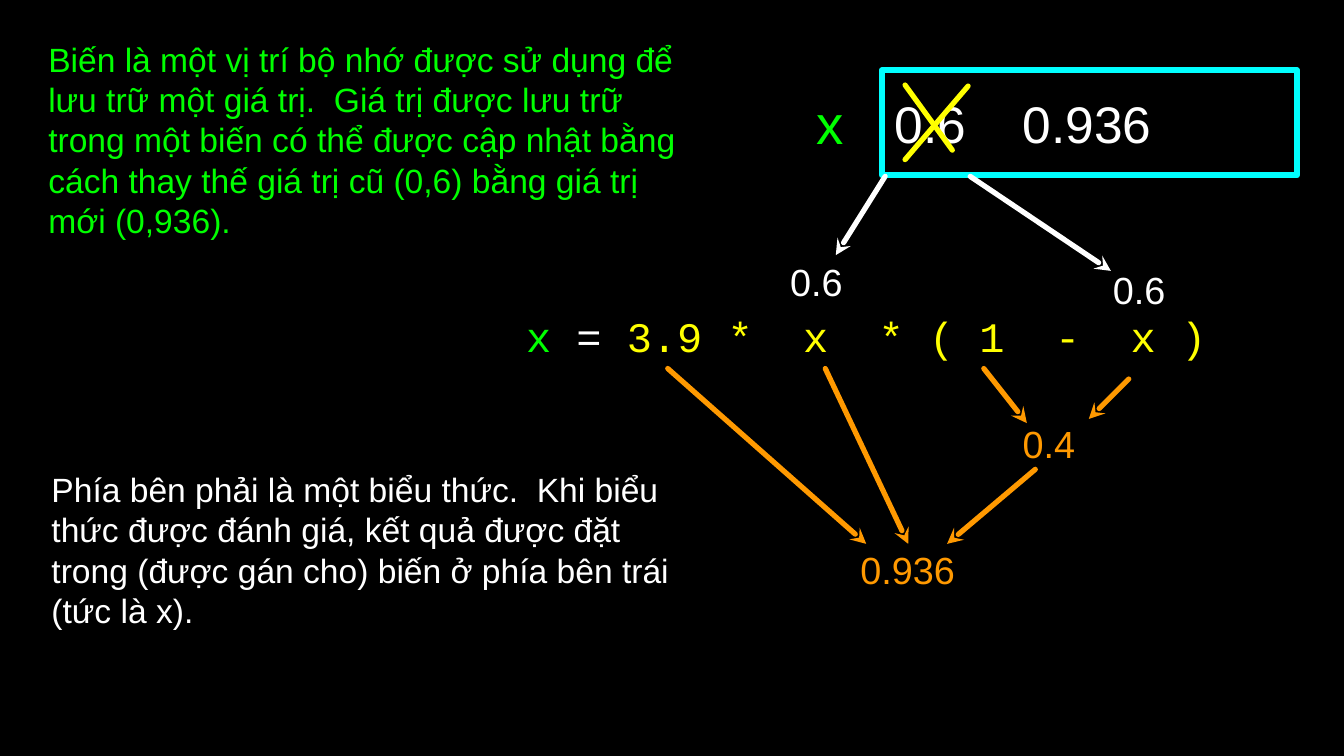
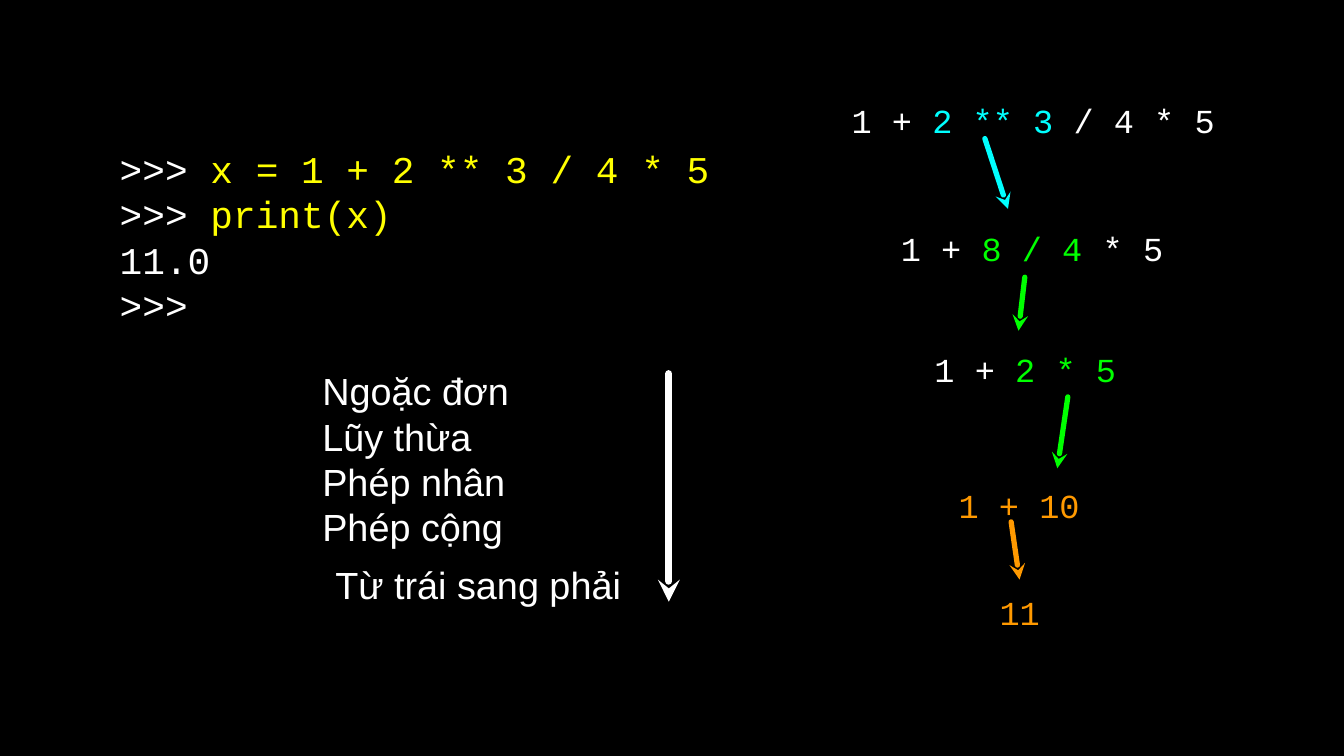
from dataclasses import dataclass

from lxml import etree
from pptx import Presentation
from pptx.dml.color import RGBColor
from pptx.enum import shapes, text
from pptx.oxml import ns
from pptx.util import Pt


@dataclass(frozen=True)
class Theme:
    black: str = "000000"
    white: str = "FFFFFF"
    green: str = "00FF00"
    yellow: str = "FFFF00"
    cyan: str = "00FFFF"
    orange: str = "FF9900"
    prose_font: str = "Arial"
    code_font: str = "Courier New"
    prose: int = 32
    step: int = 32
    value: int = 36
    console: int = 36
    formula: int = 40
    memory: int = 49
    variable: int = 52
    leading: float = 1.2
    code_drop: float = 0.32
    stroke: int = 5


T = Theme()
LEFT, CENTER = text.PP_ALIGN.LEFT, text.PP_ALIGN.CENTER


def rgb(color):
    return RGBColor.from_string(color)


def add_xml(parent, tag, **attributes):
    return etree.SubElement(parent, ns.qn(tag), **attributes)


def new_slide(deck):
    slide = deck.slides.add_slide(deck.slide_layouts[6])
    slide.background.fill.solid()
    slide.background.fill.fore_color.rgb = rgb(T.black)
    return slide


def write(frame, paragraphs, *, size, color=T.white, font=T.prose_font,
          align=LEFT, left=0, top=0, bottom=0):
    """Fill a frame; a paragraph is a string or a list of (text, color) runs."""
    frame.word_wrap = True
    frame.vertical_anchor = text.MSO_ANCHOR.MIDDLE
    frame.margin_left, frame.margin_right = Pt(left), Pt(0)
    frame.margin_top, frame.margin_bottom = Pt(top), Pt(bottom)
    for index, content in enumerate(paragraphs):
        paragraph = frame.paragraphs[0] if index == 0 else frame.add_paragraph()
        paragraph.alignment = align
        paragraph.line_spacing = Pt(size * T.leading)
        runs = [(content, color)] if isinstance(content, str) else content
        for words, run_color in runs:
            run = paragraph.add_run()
            run.text = words
            run.font.size = Pt(size)
            run.font.name = font
            run.font.color.rgb = rgb(run_color)
    return frame


def add_text(slide, place, *paragraphs, **style):
    frame = slide.shapes.add_textbox(*map(Pt, place)).text_frame
    return write(frame, paragraphs, **style)


def add_code(slide, place, *lines, size):
    add_text(slide, place, *lines, size=size, font=T.code_font,
             top=size * T.code_drop)


def add_prose(slide, place, words, color):
    """Prose sits half a line above the middle of its place."""
    add_text(slide, place, words, size=T.prose, color=color,
             bottom=T.prose * T.leading)


def add_line(slide, start, end, color, width=T.stroke, arrow=True):
    line = slide.shapes.add_connector(
        shapes.MSO_CONNECTOR.STRAIGHT, *map(Pt, (*start, *end)))
    line.line.color.rgb = rgb(color)
    line.line.width = Pt(width)
    stroke = line.line._get_or_add_ln()
    stroke.set("cap", "rnd")
    if arrow:
        add_xml(stroke, "a:tailEnd", type="stealth")
    add_xml(line._element.spPr, "a:effectLst")


def add_memory_cell(slide, place, old, new):
    cell = slide.shapes.add_shape(shapes.MSO_SHAPE.RECTANGLE, *map(Pt, place))
    cell.shadow.inherit = False
    cell.fill.background()
    cell.line.color.rgb = rgb(T.cyan)
    cell.line.width = Pt(6)
    frame = write(cell.text_frame, [f"{old}\t{new}"], size=T.memory, left=12)
    tabs = add_xml(frame.paragraphs[0]._p.get_or_add_pPr(), "a:tabLst")
    add_xml(tabs, "a:tab", pos=str(Pt(122)), algn="l")


def build_assignment(deck):
    slide = new_slide(deck)
    add_code(slide, (501, 268, 696, 91),
             [("x ", T.green), ("= ", T.white),
              ("3.9 *  x  * ( 1  -  x )", T.yellow)], size=T.formula)
    add_memory_cell(slide, (840, 67, 395, 100), "0.6", "0.936")
    add_text(slide, (773, 83, 35, 68), "x", size=T.variable, color=T.green,
             align=CENTER)

    values = [("0.4", 957, 398, 84, T.orange), ("0.936", 796, 518, 137, T.orange),
              ("0.6", 742, 243, 71, T.white), ("0.6", 1043, 251, 84, T.white)]
    for value, x, y, width, color in values:
        add_text(slide, (x, y, width, 49), value, size=T.value, color=color,
                 align=CENTER)

    add_prose(slide, (49, 461, 624, 163),
              "Phía bên phải là một biểu thức.  Khi biểu thức được đánh giá, "
              "kết quả được đặt trong (được gán cho) biến ở phía bên trái "
              "(tức là x).", T.white)
    add_prose(slide, (46, 67, 606, 170),
              "Biến là một vị trí bộ nhớ được sử dụng để lưu trữ một giá trị.  "
              "Giá trị được lưu trữ trong một biến có thể được cập nhật bằng "
              "cách thay thế giá trị cũ (0,6) bằng giá trị mới (0,936).", T.green)

    for start, end in [((922, 82), (862, 152)), ((862, 81), (907, 143))]:
        add_line(slide, start, end, T.yellow, arrow=False)
    for start, end in [((843, 168), (796, 243)), ((924, 168), (1058, 258))]:
        add_line(slide, start, end, T.white)
    evaluation = [((1075, 361), (1037, 399)), ((937, 351), (978, 403)),
                  ((986, 447), (902, 518)), ((636, 351), (825, 518)),
                  ((786, 351), (865, 518))]
    for start, end in evaluation:
        add_line(slide, start, end, T.orange)


def build_precedence(deck):
    slide = new_slide(deck)
    steps = [
        (811, 78, 364, [("1 + ", T.white), ("2 ** 3", T.cyan), (" / 4 * 5", T.white)]),
        (858, 200, 318, [("1 + ", T.white), ("8 / 4", T.green), (" * 5", T.white)]),
        (890, 315, 253, [("1 + ", T.white), ("2 * 5", T.green)]),
        (913, 444, 178, [("1 + 10", T.orange)]),
        (952, 546, 57, [("11", T.orange)]),
    ]
    for x, y, width, runs in steps:
        add_code(slide, (x, y, width, 63), runs, size=T.step)

    reductions = [((938, 132), (960, 199), T.cyan), ((976, 264), (970, 315), T.green),
                  ((1017, 378), (1007, 446), T.green),
                  ((963, 497), (971, 552), T.orange)]
    for start, end, color in reductions:
        add_line(slide, start, end, color)

    add_code(slide, (114, 103, 579, 233),
             [(">>> ", T.white), ("x = 1 + 2 ** 3 / 4 * 5", T.yellow)],
             [(">>> ", T.white), ("print(x)", T.yellow)],
             "11.0", ">>>", size=T.console)

    order = add_text(slide, (307, 304, 297, 321), "Ngoặc đơn", "Lũy thừa",
                     "Phép nhân", "Phép cộng", "Từ trái sang phải", size=T.value)
    tie_rule = order.paragraphs[-1]
    tie_rule.alignment = CENTER
    tie_rule.space_before = Pt(12)
    add_line(slide, (637, 356), (637, 573), T.white, width=7)


def main():
    deck = Presentation()
    deck.slide_width, deck.slide_height = Pt(1280), Pt(720)
    build_assignment(deck)
    build_precedence(deck)
    deck.save("out.pptx")


if __name__ == "__main__":
    main()
